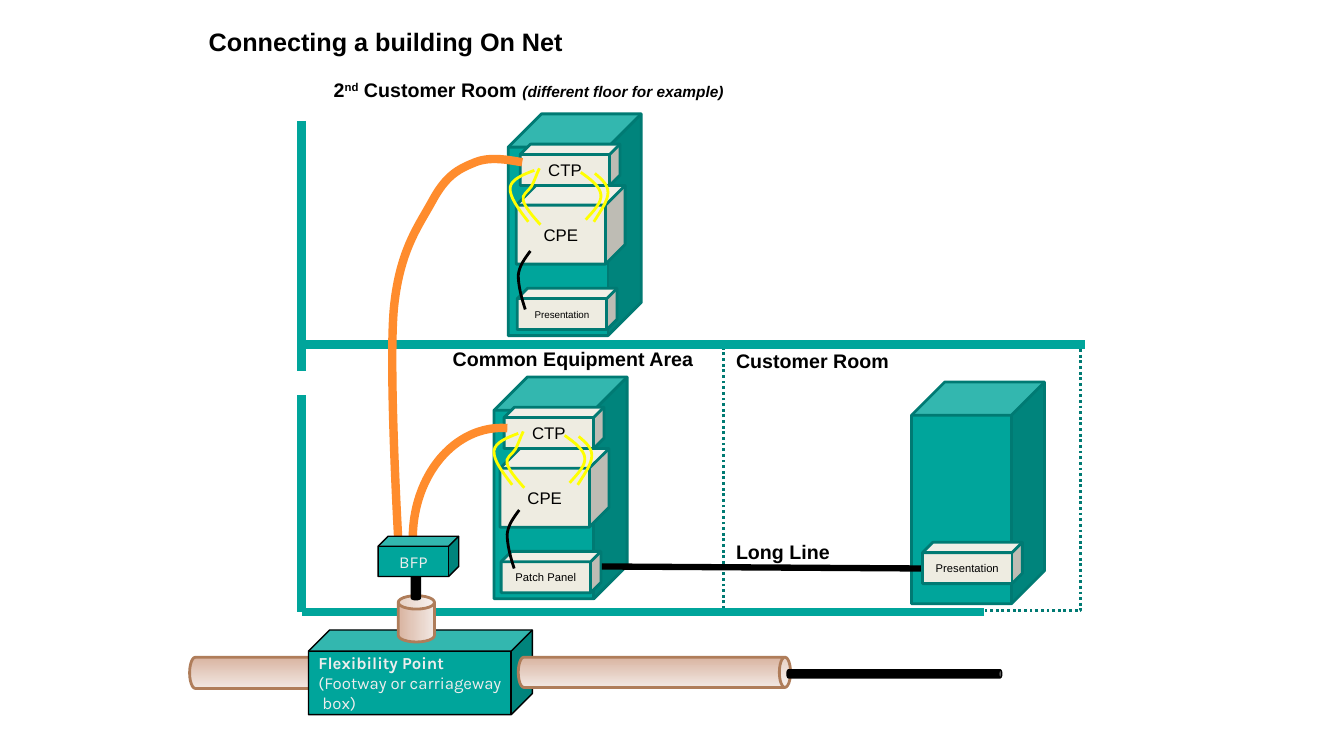
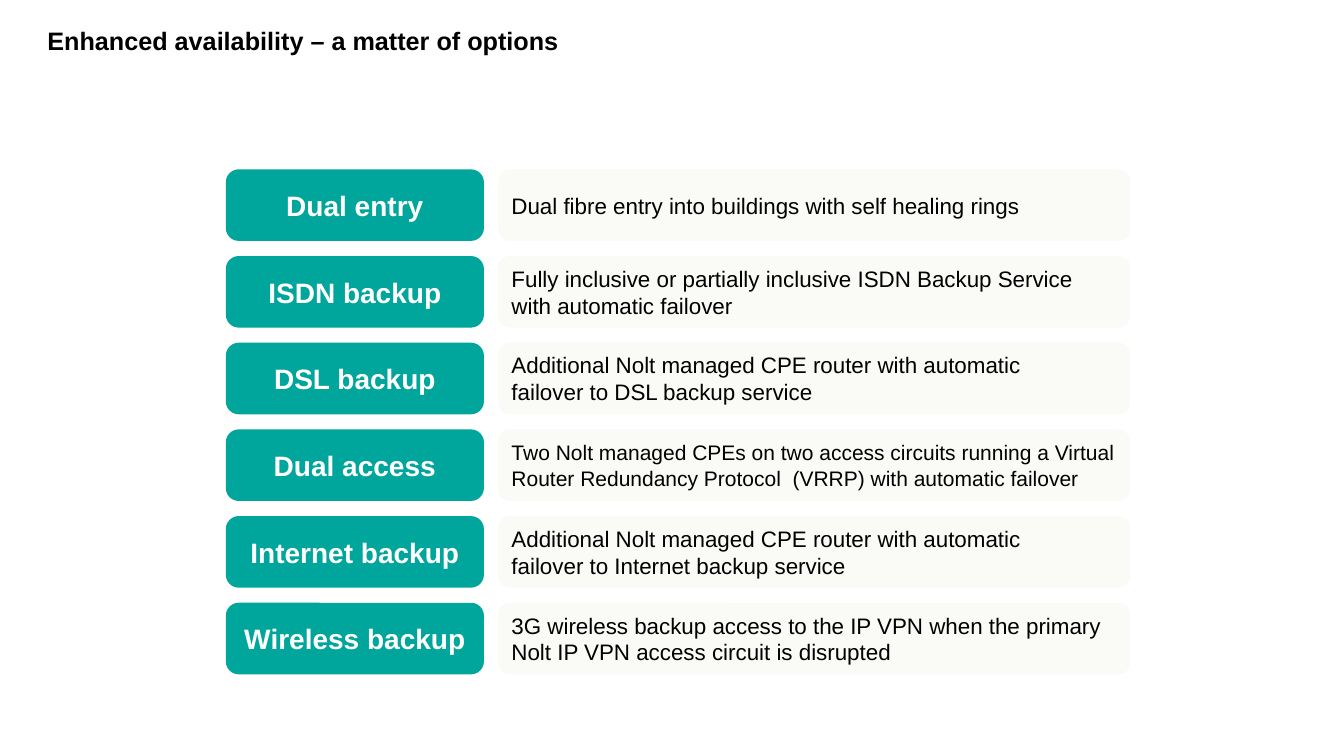
from lxml import etree
from pptx import Presentation
from pptx.dml.color import RGBColor
from pptx.enum.dml import MSO_LINE
from pptx.enum.shapes import MSO_CONNECTOR, MSO_SHAPE
from pptx.enum.text import MSO_ANCHOR, PP_ALIGN
from pptx.oxml.ns import qn
from pptx.util import Pt

PX = 9144
TEAL = RGBColor(0x00, 0xA5, 0x9B)
DARK_TEAL = RGBColor(0x00, 0x7A, 0x73)
CREAM = RGBColor(0xEE, 0xEC, 0xE1)
ORANGE = RGBColor(0xFF, 0x8C, 0x2D)
YELLOW = RGBColor(0xFF, 0xFF, 0x00)
BROWN = RGBColor(0xAF, 0x7D, 0x5A)
CLAY = RGBColor(0xD9, 0xB4, 0xA1)
PALE_CLAY = RGBColor(0xF2, 0xE8, 0xE3)
LIGHT_GREY = RGBColor(0xED, 0xED, 0xED)
BLACK = RGBColor(0x00, 0x00, 0x00)
WHITE = RGBColor(0xFF, 0xFF, 0xFF)
HEADING_FONT = "Arial"
DUCT_FONT = "Karla"
CUBE, CAN, ARC = MSO_SHAPE.CUBE, MSO_SHAPE.CAN, MSO_SHAPE.ARC
RECT, ROUNDED = MSO_SHAPE.RECTANGLE, MSO_SHAPE.ROUNDED_RECTANGLE
STRAIGHT, DOTTED = MSO_CONNECTOR.STRAIGHT, MSO_LINE.ROUND_DOT
LEFT, CENTER = PP_ALIGN.LEFT, PP_ALIGN.CENTER
TOP, MIDDLE = MSO_ANCHOR.TOP, MSO_ANCHOR.MIDDLE

PATCH_CABLES = [
    [(24, 56), (13, 60), (1, 65), (0, 73), (-1, 82), (8, 94), (18, 107)],
    [(84, 59), (91, 65), (97, 70), (97, 78), (97, 86), (90, 96), (83, 107)],
    [(70, 58), (80, 65), (89, 72), (90, 80), (91, 88), (83, 96), (75, 105)],
    [(29, 54), (26, 60), (24, 67), (21, 72), (18, 77), (11, 80), (13, 86),
     (15, 93), (22, 101), (30, 110)],
]
JUMPER = [(0, 0), (-6, 8), (-11, 15), (-12, 24), (-12, 34), (-9, 46), (-5, 58)]
RISER_CABLE = [
    (0, 0), (-17, -3), (-34, -6), (-49, 1), (-64, 7), (-76, 14), (-89, 38),
    (-102, 62), (-121, 86), (-127, 142), (-133, 198), (-123, 373), (-123, 373),
]
OPTIONS = [
    ("Dual entry", "Dual fibre entry into buildings with self healing rings", 16),
    ("ISDN backup", "Fully inclusive or partially inclusive ISDN Backup Service"
     "\vwith automatic failover", 16),
    ("DSL backup", "Additional Nolt managed CPE router with automatic"
     "\vfailover to DSL backup service", 16),
    ("Dual access", "Two Nolt managed CPEs on two access circuits running a Virtual "
     "Router Redundancy Protocol  (VRRP) with automatic failover", 15),
    ("Internet backup", "Additional Nolt managed CPE router with automatic"
     "\vfailover to Internet backup service", 16),
    ("Wireless backup", "3G wireless backup access to the IP VPN when the primary "
     "Nolt IP VPN access circuit is disrupted", 16),
]


def style_run(run, size, color=BLACK, bold=False, font=HEADING_FONT):
    """Set the look of one run."""
    run.font.size = Pt(size)
    run.font.name = font
    run.font.bold = bold
    run.font.color.rgb = color


def write(shape, text, size, color=BLACK, bold=False, font=HEADING_FONT,
          align=CENTER, anchor=MIDDLE, inset=0, wrap=False):
    """Fill a shape with evenly styled text."""
    frame = shape.text_frame
    frame.text = text
    frame.word_wrap = wrap
    frame.vertical_anchor = anchor
    frame.margin_left = inset * PX
    frame.margin_right = frame.margin_top = frame.margin_bottom = 0
    for paragraph in frame.paragraphs:
        paragraph.alignment = align
        for run in paragraph.runs:
            style_run(run, size, color, bold, font)


def add_solid(slide, kind, box, fill=None, line=None, weight=2):
    """Add a preset shape with plain fill and outline."""
    shape = slide.shapes.add_shape(kind, *(length * PX for length in box))
    shape.shadow.inherit = False
    if fill is None:
        shape.fill.background()
    else:
        shape.fill.solid()
        shape.fill.fore_color.rgb = fill
    if line is None:
        shape.line.fill.background()
    else:
        shape.line.color.rgb = line
        shape.line.width = Pt(weight)
    return shape


def add_line(slide, start, end, color, weight):
    """Add a straight line without a shadow."""
    line = slide.shapes.add_connector(
        STRAIGHT, *(length * PX for length in (*start, *end)))
    line.line.color.rgb = color
    line.line.width = Pt(weight)
    etree.SubElement(line.element.spPr, qn("a:effectLst"))


def add_cable(slide, origin, points, color, weight):
    """Add a curved cable of Bezier segments relative to an origin."""
    start, *bends = [(origin[0] + x, origin[1] + y) for x, y in points]
    builder = slide.shapes.build_freeform(*start, scale=PX)
    builder.add_line_segments(bends, close=False)
    cable = builder.convert_to_shape()
    segments = cable.element.findall(".//" + qn("a:lnTo"))
    for first in range(0, len(segments), 3):
        curve = etree.Element(qn("a:cubicBezTo"))
        segments[first].addprevious(curve)
        for segment in segments[first:first + 3]:
            curve.append(segment[0])
            segment.getparent().remove(segment)
    cable.shadow.inherit = False
    cable.fill.background()
    cable.line.color.rgb = color
    cable.line.width = Pt(weight)


def add_title_slide(deck, title, left, top, width):
    """Add a slide with the shared title style."""
    slide = deck.slides.add_slide(deck.slide_layouts[5])
    heading = slide.shapes.title
    heading.left, heading.top = left * PX, top * PX
    heading.width, heading.height = width * PX, 55 * PX
    write(heading, title, 18, bold=True, align=LEFT, anchor=TOP, wrap=True)
    heading.text_frame.paragraphs[0].line_spacing = 0.9
    return slide


def add_label(slide, left, top, text, width=158):
    """Add a bold room label on one line."""
    label = slide.shapes.add_textbox(left * PX, top * PX, width * PX, 24 * PX)
    write(label, text, 14, bold=True, align=LEFT, anchor=TOP)
    return label


def add_unit(slide, left, top, text, size, width=99, height=41):
    """Add a cream equipment unit."""
    unit = add_solid(slide, CUBE, (left, top, width, height), CREAM, DARK_TEAL)
    write(unit, text, size)


def add_cabinet(slide, left, top):
    """Add an empty equipment cabinet."""
    add_solid(slide, CUBE, (left, top, 132, 220), TEAL, DARK_TEAL)


def add_equipment(slide, left, top, bottom_unit, bottom_size):
    """Add the units of a cabinet and their yellow cables."""
    add_unit(slide, left + 6, top + 71, "CPE", 12, 108, 78)
    add_unit(slide, left + 10, top + 30, "CTP", 12)
    add_unit(slide, left + 7, top + 173, bottom_unit, bottom_size)
    for points in PATCH_CABLES:
        add_cable(slide, (left, top), points, YELLOW, 2)


def add_pipe(slide, box, lying=False):
    """Add a clay duct that stands or lies in its box."""
    pipe = add_can(slide, box, lying, BROWN, 2)
    pipe.fill.gradient()
    pipe.fill.gradient_angle = 0
    for stop, color in zip(pipe.fill.gradient_stops, (CLAY, PALE_CLAY)):
        stop.color.rgb = color


def add_can(slide, box, lying=False, line=BLACK, weight=1):
    """Add a black cylinder, turned on its side when lying."""
    left, top, width, height = box
    if lying:
        shift = (width - height) // 2
        box = (left + shift, top - shift, height, width)
    can = add_solid(slide, CAN, box, BLACK, line, weight)
    can.adjustments[0] = 0.37
    can.rotation = 90 if lying else 0
    return can


def add_building(slide, left, top):
    """Add the customer room outline, the ground line and the walls."""
    room = add_solid(slide, RECT, (left + 419, top + 222, 354, 264), WHITE, DARK_TEAL)
    room.line.dash_style = DOTTED
    for start, end in (((677, 487), (1, 487)), ((0, 272), (0, 487)), ((0, 0), (0, 248))):
        add_line(slide, (left + start[0], top + start[1]),
                 (left + end[0], top + end[1]), TEAL, 6)


def add_street(slide, left, top):
    """Add the street ducts, the flexibility point and the riser to the BFP."""
    add_pipe(slide, (left, top + 120, 141, 31), lying=True)
    point = add_solid(slide, CUBE, (left + 118, top + 93, 222, 84), TEAL, BLACK, 1)
    write(point, "Flexibility Point\n(Footway or carriageway\n box)", 12, LIGHT_GREY,
          font=DUCT_FONT, align=LEFT, inset=10)
    point.text_frame.paragraphs[0].runs[0].font.bold = True
    add_pipe(slide, (left + 326, top + 120, 270, 30), lying=True)
    add_can(slide, (left + 593, top + 132, 213, 8), lying=True)
    add_pipe(slide, (left + 207, top + 59, 36, 46))
    add_can(slide, (left + 220, top + 34, 9, 29))
    bfp = add_solid(slide, CUBE, (left + 187, top, 80, 40), TEAL, BLACK, 1)
    write(bfp, "BFP", 12, LIGHT_GREY, font=DUCT_FONT)


def add_second_room_label(slide, left, top):
    """Add the label with the raised ordinal and the italic remark."""
    label = add_label(slide, left, top, "2", 420)
    paragraph = label.text_frame.paragraphs[0]
    for text, size in (("nd", 14), (" Customer Room ", 14),
                       ("(different floor for example)", 11)):
        run = paragraph.add_run()
        run.text = text
        style_run(run, size, bold=True)
    ordinal, remark = paragraph.runs[1], paragraph.runs[3]
    ordinal.font._element.set("baseline", "30000")
    remark.font.italic = True


def add_building_slide(deck):
    """Add the slide that shows how a building is connected."""
    slide = add_title_slide(deck, "Connecting a building On Net", 207, 29, 693)
    add_building(slide, 299, 120)
    add_cabinet(slide, 490, 374)
    add_equipment(slide, 490, 374, "Patch Panel", 8)
    add_cabinet(slide, 904, 379)
    add_cabinet(slide, 504, 113)
    add_equipment(slide, 506, 113, "Presentation", 7)
    add_line(slide, (1076, 342), (300, 342), TEAL, 6)
    add_line(slide, (597, 562), (915, 564), BLACK, 4.5)
    add_unit(slide, 915, 538, "Presentation", 8)
    for origin in ((515, 506), (526, 249)):
        add_cable(slide, origin, JUMPER, BLACK, 2)
    entry = add_solid(slide, ARC, (388, 446, 219, 176), line=ORANGE, weight=6)
    entry.adjustments[0], entry.adjustments[1] = 159.58, 1.81
    entry.rotation = 270
    add_cable(slide, (518, 161), RISER_CABLE, ORANGE, 6)
    add_label(slide, 730, 346, "Customer Room")
    add_label(slide, 730, 536, "Long Line")
    add_label(slide, 449, 344, "Common Equipment Area", 260)
    add_second_room_label(slide, 331, 77)
    add_street(slide, 188, 532)


def add_option(slide, left, top, name, detail, size):
    """Add one option with its name and its explanation."""
    tag = add_solid(slide, ROUNDED, (left, top, 256, 71), TEAL)
    tag.adjustments[0] = 0.18
    write(tag, name, 20, WHITE, bold=True, wrap=True)
    panel = add_solid(slide, ROUNDED, (left + 270, top, 627, 71), CREAM)
    tint = panel.element.spPr.find(qn("a:solidFill"))[0]
    etree.SubElement(tint, qn("a:alpha"), val="25000")
    write(panel, detail, size, align=LEFT, inset=10, wrap=True)


def add_options_slide(deck):
    """Add the slide that lists the availability options."""
    slide = add_title_slide(deck, "Enhanced availability – a matter of options", 47, 28, 924)
    for row, option in enumerate(OPTIONS):
        add_option(slide, 224, 168 + 86 * row, *option)


def main():
    """Build and save the presentation."""
    deck = Presentation()
    deck.slide_width, deck.slide_height = 1333 * PX, 750 * PX
    add_building_slide(deck)
    add_options_slide(deck)
    deck.save("out.pptx")


if __name__ == "__main__":
    main()
